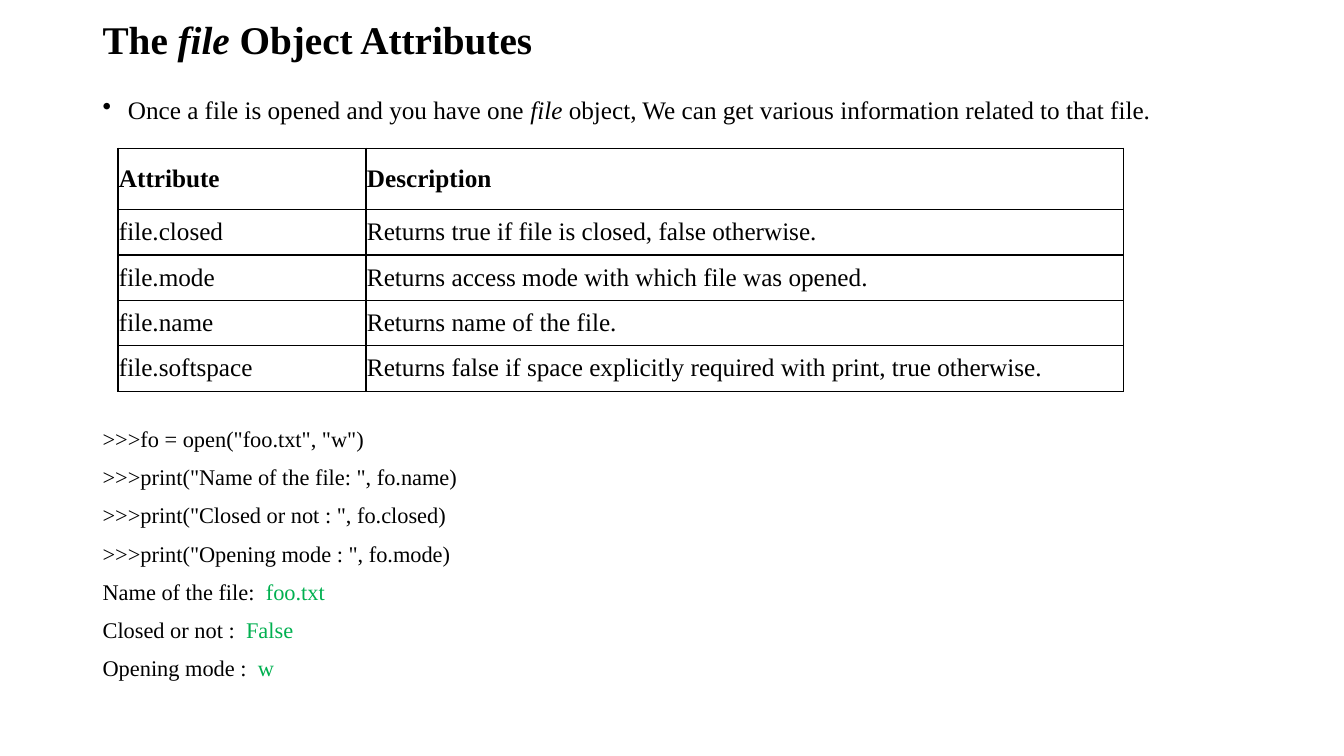
from lxml import etree
from pptx import Presentation
from pptx.dml.color import RGBColor
from pptx.enum.text import MSO_ANCHOR, PP_ALIGN
from pptx.oxml.ns import qn
from pptx.util import Inches, Pt

BLACK = RGBColor(0x00, 0x00, 0x00)
GREEN = RGBColor(0x00, 0xB0, 0x50)
MIDDLE = MSO_ANCHOR.MIDDLE
TOP = MSO_ANCHOR.TOP
JUSTIFY = PP_ALIGN.JUSTIFY
FACE = "Times New Roman"
LEFT, WIDTH = 0.92, 11.5

TITLE = ["The ", "file", " Object Attributes"]
INTRO = ["Once a file is opened and you have one ", "file",
         " object, We can get various information related to that file."]
ROWS = [
    ("Attribute", "Description"),
    ("file.closed", "Returns true if file is closed, false otherwise."),
    ("file.mode", "Returns access mode with which file was opened."),
    ("file.name", "Returns name of the file."),
    ("file.softspace",
     "Returns false if space explicitly required with print, true otherwise."),
]
COLS = [2.46, 7.51]
HEAD, ROW = 0.61, 0.45
CODE = [
    ('>>>fo = open("foo.txt", "w")',),
    ('>>>print("Name of the file: ", fo.name)',),
    ('>>>print("Closed or not : ", fo.closed)',),
    ('>>>print("Opening mode : ", fo.mode)',),
    ("Name of the file:  ", "foo.txt"),
    ("Closed or not :  ", "False"),
    ("Opening mode :  ", "w"),
]


def set_font(para, size, bold=False):
    font = para.font
    font.name, font.size, font.bold = FACE, Pt(size), bold
    font.color.rgb = BLACK


def add_box(slide, top, height, anchor=TOP):
    box = slide.shapes.add_textbox(
        Inches(LEFT), Inches(top), Inches(WIDTH), Inches(height))
    frame = box.text_frame
    frame.word_wrap = True
    frame.vertical_anchor = anchor
    return frame


def fill_line(para, parts, size, bold=False):
    set_font(para, size, bold)
    para.line_spacing = 0.9
    runs = []
    for part in parts:
        run = para.add_run()
        run.text = part
        runs.append(run)
    return runs


def add_bullet(para):
    props = para._p.get_or_add_pPr()
    props.set("marL", str(Inches(0.25)))
    props.set("indent", str(-Inches(0.25)))
    mark = etree.Element(qn("a:buChar"), char="\u2022")
    props.insert_element_before(mark, "a:tabLst", "a:defRPr", "a:extLst")


def add_title(slide):
    frame = add_box(slide, 0.1, 0.62, MIDDLE)
    runs = fill_line(frame.paragraphs[0], TITLE, 28, True)
    runs[1].font.italic = True


def add_intro(slide):
    para = add_box(slide, 0.92, 0.4).paragraphs[0]
    runs = fill_line(para, INTRO, 18)
    runs[1].font.italic = True
    add_bullet(para)


def add_code(slide):
    frame = add_box(slide, 4.2, 2.7)
    for i, parts in enumerate(CODE):
        para = frame.add_paragraph() if i else frame.paragraphs[0]
        runs = fill_line(para, parts, 16)
        para.space_before = Pt(10)
        for run in runs[1:]:
            run.font.color.rgb = GREEN


def set_border(cell):
    props = cell._tc.get_or_add_tcPr()
    for i, side in enumerate(("lnL", "lnR", "lnT", "lnB")):
        line = etree.Element(qn("a:" + side), w=str(Pt(1)))
        fill = etree.SubElement(line, qn("a:solidFill"))
        etree.SubElement(fill, qn("a:srgbClr"), val=str(BLACK))
        props.insert(i, line)


def fill_cell(cell, text, bold):
    cell.fill.background()
    set_border(cell)
    cell.vertical_anchor = MIDDLE
    cell.margin_left = cell.margin_right = Inches(0.01)
    cell.margin_top = cell.margin_bottom = Inches(0.01)
    para = cell.text_frame.paragraphs[0]
    para.text = text
    para.alignment = JUSTIFY
    set_font(para, 18, bold)


def add_grid(slide):
    high = HEAD + ROW * (len(ROWS) - 1)
    table = slide.shapes.add_table(
        len(ROWS), len(COLS), Inches(1.17), Inches(1.47),
        Inches(sum(COLS)), Inches(high)).table
    table.first_row = table.horz_banding = False
    for col, width in zip(table.columns, COLS):
        col.width = Inches(width)
    for r, texts in enumerate(ROWS):
        table.rows[r].height = Inches(ROW if r else HEAD)
        for c, text in enumerate(texts):
            fill_cell(table.cell(r, c), text, r == 0)


def main():
    deck = Presentation()
    deck.slide_width, deck.slide_height = Inches(13.33), Inches(7.5)
    slide = deck.slides.add_slide(deck.slide_layouts[6])
    add_title(slide)
    add_intro(slide)
    add_code(slide)
    add_grid(slide)
    deck.save("out.pptx")


main()
